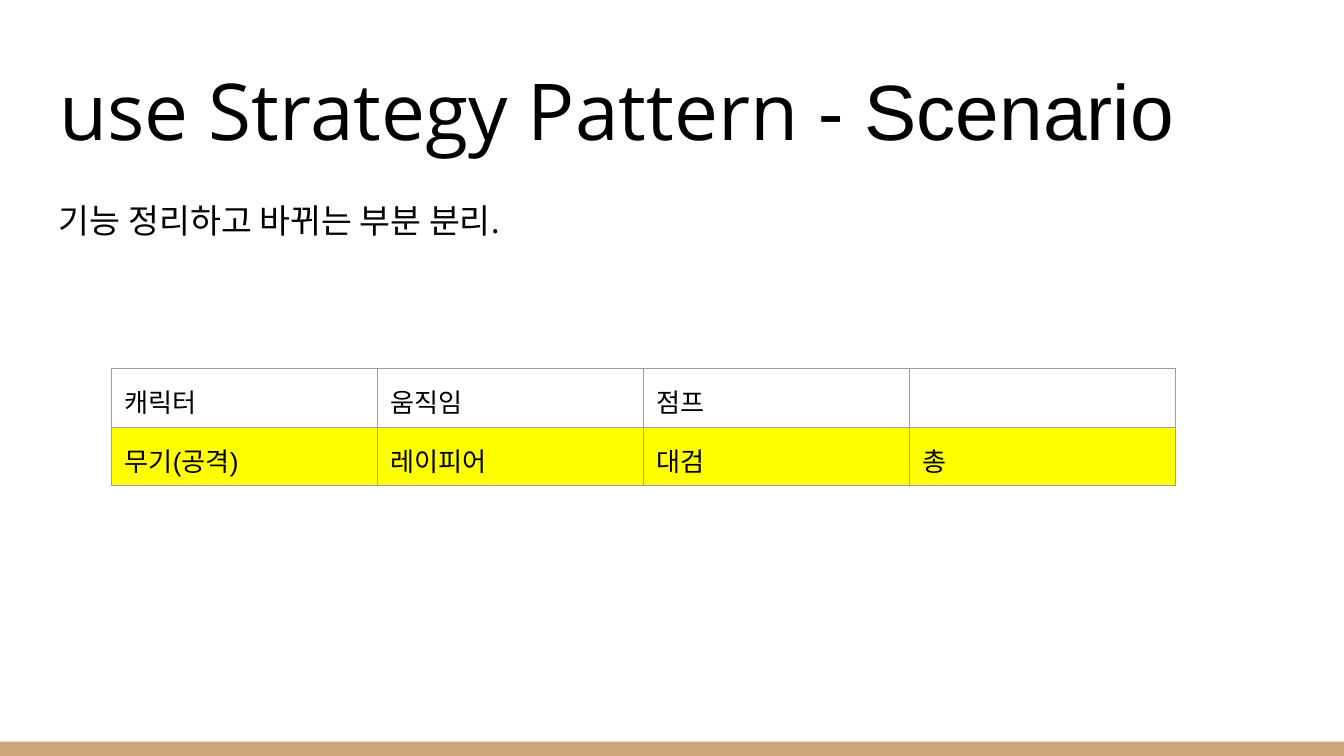
from lxml.etree import SubElement
from pptx import Presentation
from pptx.dml.color import RGBColor as RGB
from pptx.enum.shapes import MSO_SHAPE as SHAPE
from pptx.enum.text import MSO_ANCHOR as ANCHOR, MSO_AUTO_SIZE as AUTO, PP_ALIGN as ALIGN
from pptx.oxml.ns import qn
from pptx.util import Pt

COLORS = {"text": "000000", "bar": "CCA677", "border": "9E9E9E", "mark": "FFFF00"}
INSET = Pt(7.2)


def style_run(r, size, font):
    r.font.size = Pt(size)
    r.font.name = font
    r.font.color.rgb = RGB.from_string(COLORS["text"])


def set_margins(box):
    box.margin_left = box.margin_right = INSET
    box.margin_top = box.margin_bottom = INSET


prs = Presentation()
prs.slide_width, prs.slide_height = Pt(720), Pt(405)
s = prs.slides.add_slide(prs.slide_layouts[5])

# Bottom bar
bar = s.shapes.add_shape(SHAPE.RECTANGLE, Pt(0), Pt(397.3), Pt(720), Pt(7.7))
bar.shadow.inherit = False
bar.fill.solid()
bar.fill.fore_color.rgb = RGB.from_string(COLORS["bar"])
bar.line.fill.background()

# Title
title = s.shapes.title
title.left, title.top, title.width, title.height = Pt(24.5), Pt(25.2), Pt(671), Pt(65.5)
tf = title.text_frame
set_margins(tf)
tf.word_wrap = True
tf.auto_size = AUTO.NONE
tf.vertical_anchor = ANCHOR.BOTTOM
p = tf.paragraphs[0]
p.alignment = ALIGN.LEFT
for text, font in [("use Strategy Pattern - ", "Open Sans"), ("Scenario", "Arial")]:
    r = p.add_run()
    r.text = text
    style_run(r, 42, font)

# Body text
body = s.shapes.add_textbox(Pt(24.5), Pt(96.5), Pt(671), Pt(264))
tf = body.text_frame
set_margins(tf)
tf.word_wrap = True
tf.text = "기능 정리하고 바뀌는 부분 분리."
p = tf.paragraphs[0]
p.line_spacing = 1.15
p.space_after = Pt(16)
style_run(p.runs[0], 18, "Open Sans")

# Table of features, with the changing row marked
rows = [["캐릭터", "움직임", "점프", ""],
        ["무기(공격)", "레이피어", "대검", "총"]]
table = s.shapes.add_table(2, 4, Pt(59.6), Pt(197.6), Pt(570), Pt(60)).table
table.first_row = table.horz_banding = False
for col in table.columns:
    col.width = Pt(142.5)
for i, row in enumerate(rows):
    table.rows[i].height = Pt(30)
    for j, text in enumerate(row):
        cell = table.cell(i, j)
        set_margins(cell)
        cell.text = text
        p = cell.text_frame.paragraphs[0]
        if text:
            style_run(p.runs[0], 14, "Arial")
        else:
            SubElement(p._p, qn("a:endParaRPr"), sz="1400")
        # Borders go before the fill in the cell properties
        tc_pr = cell._tc.get_or_add_tcPr()
        for side in ("a:lnL", "a:lnR", "a:lnT", "a:lnB"):
            ln = SubElement(tc_pr, qn(side), w=str(Pt(0.75)))
            fill = SubElement(ln, qn("a:solidFill"))
            SubElement(fill, qn("a:srgbClr"), val=COLORS["border"])
        if i == 1:
            cell.fill.solid()
            cell.fill.fore_color.rgb = RGB.from_string(COLORS["mark"])
        else:
            cell.fill.background()

prs.save("out.pptx")
